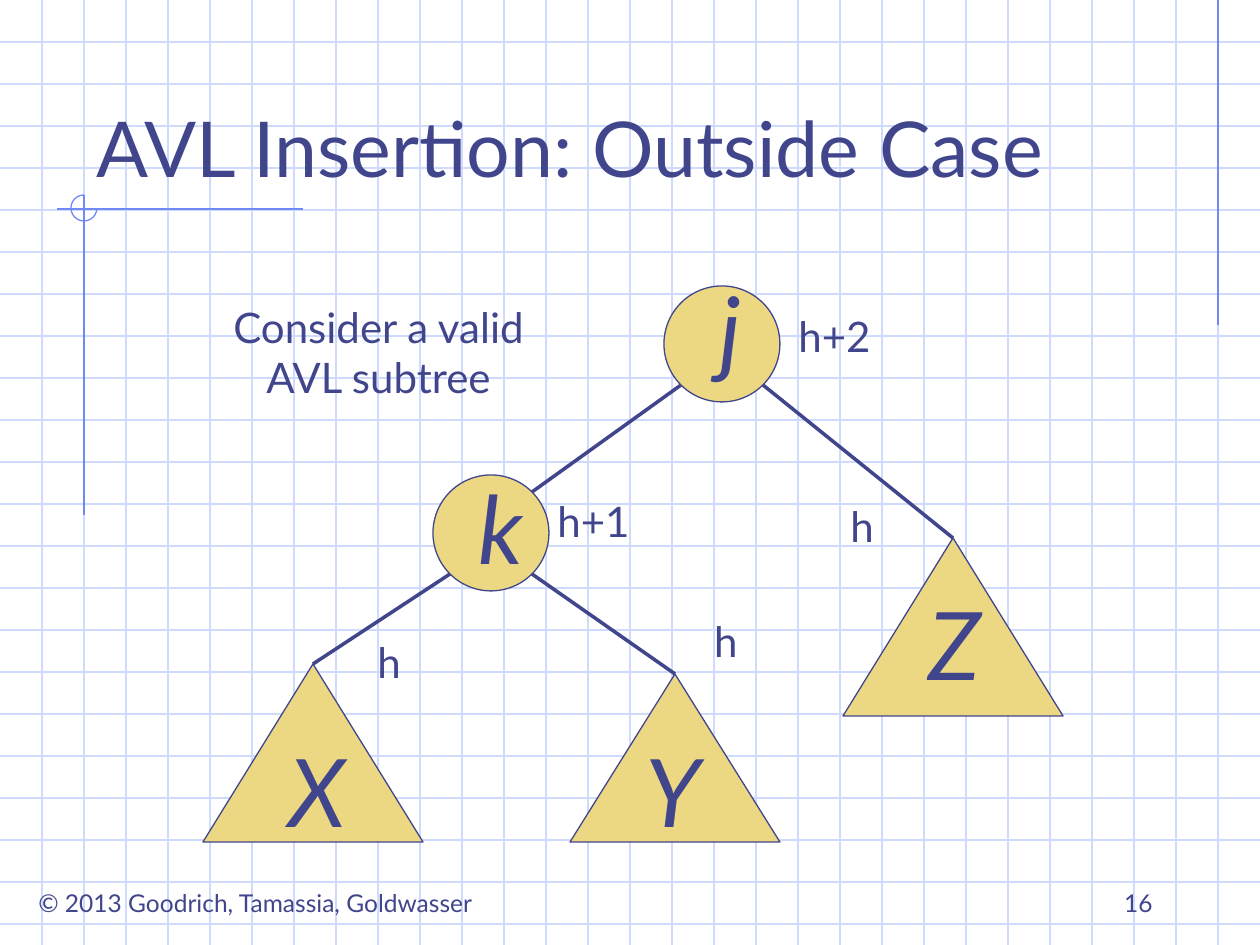
import pptx
import pptx.dml.color
import pptx.enum.shapes
import pptx.enum.text
import pptx.util
from lxml import etree

PX = 914400 / 126
SLIDE_WIDTH, SLIDE_HEIGHT = 1260, 945
GRID_STEP = 42
RADIUS = 58
DIAGONAL = 41  # offset from a node's centre to its outline at 45 degrees

ALIGN = pptx.enum.text.PP_ALIGN
ANCHOR = pptx.enum.text.MSO_ANCHOR
SHAPE = pptx.enum.shapes.MSO_SHAPE
RGB = pptx.dml.color.RGBColor
THEME = {
    "font": "Lato",
    "ink": RGB.from_string("40458C"),
    "grid": RGB.from_string("CFDBFD"),
    "accent": RGB.from_string("6F89F7"),
    "fill": RGB.from_string("ECD882"),
    "title": 44,
    "letter": 54,
    "label": 24,
    "footer": 14,
    "thin": 0.75,
    "edge": 2,
}


def add_line(x1, y1, x2, y2, color, width):
    line = slide.shapes.add_connector(
        pptx.enum.shapes.MSO_CONNECTOR.STRAIGHT,
        *[round(value * PX) for value in (x1, y1, x2, y2)])
    line.line.color.rgb = THEME[color]
    line.line.width = pptx.util.Pt(THEME[width])
    properties = line._element.spPr
    etree.SubElement(properties, pptx.oxml.ns.qn("a:effectLst"))
    return line


def add_text(box, lines, size, align=ALIGN.CENTER, anchor=ANCHOR.TOP,
             wrap=False, italic=None):
    textbox = slide.shapes.add_textbox(*[round(value * PX) for value in box])
    frame = textbox.text_frame
    frame.word_wrap = wrap
    frame.vertical_anchor = anchor
    for index, text in enumerate(lines):
        paragraph = frame.add_paragraph() if index else frame.paragraphs[0]
        paragraph.alignment = align
        run = paragraph.add_run()
        run.text = text
        run.font.name = THEME["font"]
        run.font.size = pptx.util.Pt(THEME[size])
        run.font.color.rgb = THEME["ink"]
        run.font.italic = italic


presentation = pptx.Presentation()
presentation.slide_width = round(SLIDE_WIDTH * PX)
presentation.slide_height = round(SLIDE_HEIGHT * PX)
slide = presentation.slides.add_slide(presentation.slide_layouts[6])

# Graph-paper background
for y in range(GRID_STEP, SLIDE_HEIGHT, GRID_STEP):
    add_line(0, y, SLIDE_WIDTH, y, "grid", "thin")
for x in range(GRID_STEP, SLIDE_WIDTH, GRID_STEP):
    add_line(x, 0, x, SLIDE_HEIGHT, "grid", "thin")

# Accent lines and the arc at their crossing
for ends in [(1218, 0, 1218, 325), (303, 209, 57, 209), (84, 195, 84, 515)]:
    add_line(*ends, "accent", "thin")
arc = slide.shapes.add_shape(
    SHAPE.ARC, *[round(value * PX) for value in (71, 195, 26, 26)])
arc.adjustments[0] = 0
arc.adjustments[1] = 162  # 270 degrees, in units of 100000 / 60000 degree
arc.shadow.inherit = False
arc.fill.background()
arc.line.color.rgb = THEME["accent"]
arc.line.width = pptx.util.Pt(THEME["thin"])

# Title and footer
add_text((84, 42, 1071, 157), ["AVL Insertion: Outside Case"], "title",
         ALIGN.LEFT, ANCHOR.BOTTOM, wrap=True)
add_text((11, 882, 489, 43), ["© 2013 Goodrich, Tamassia, Goldwasser"], "footer")
add_text((903, 861, 262, 63), ["16"], "footer", ALIGN.RIGHT, ANCHOR.BOTTOM,
         wrap=True)

# Tree nodes and subtrees: preset, box, position of the letter
centers = {"j": (722, 344), "k": (491, 533)}
parts = {
    name: (SHAPE.OVAL, (x - RADIUS, y - RADIUS, 2 * RADIUS, 2 * RADIUS), corner)
    for (name, (x, y)), corner in zip(centers.items(), [(695, 265), (465, 464)])
}
parts["X"] = (SHAPE.ISOSCELES_TRIANGLE, (203, 664, 220, 178), (276, 727))
parts["Y"] = (SHAPE.ISOSCELES_TRIANGLE, (570, 674, 210, 168), (633, 727))
parts["Z"] = (SHAPE.ISOSCELES_TRIANGLE, (843, 538, 220, 178), (916, 580))
shapes = {}
for name, (preset, box, corner) in parts.items():
    shape = slide.shapes.add_shape(preset, *[round(value * PX) for value in box])
    shape.shadow.inherit = False
    shape.fill.solid()
    shape.fill.fore_color.rgb = THEME["fill"]
    shape.line.color.rgb = THEME["ink"]
    shape.line.width = pptx.util.Pt(THEME["thin"])
    shapes[name] = shape
    add_text((*corner, 71, 126), [name], "letter", wrap=True, italic=True)

# Edges leave a node at its lower left (-1) or lower right (1)
for parent, side, child in [("j", -1, "k"), ("k", -1, "X"),
                            ("k", 1, "Y"), ("j", 1, "Z")]:
    x, y = centers[parent]
    start = (x + side * DIAGONAL, y + DIAGONAL)
    if child in centers:
        x, y = centers[child]
        add_line(*start, x - side * DIAGONAL, y - DIAGONAL, "ink", "edge")
    else:
        edge = add_line(*start, *start, "ink", "edge")
        edge.end_connect(shapes[child], 0)

# Caption and subtree heights
add_text((209, 295, 339, 113), ["Consider a valid", "AVL subtree"], "label")
for text, x, y, width in [("h", 837, 494, 50), ("h", 364, 630, 50),
                          ("h", 701, 609, 50), ("h+1", 544, 489, 99),
                          ("h+2", 785, 304, 99)]:
    add_text((x, y, width, 63), [text], "label")

presentation.save("out.pptx")
